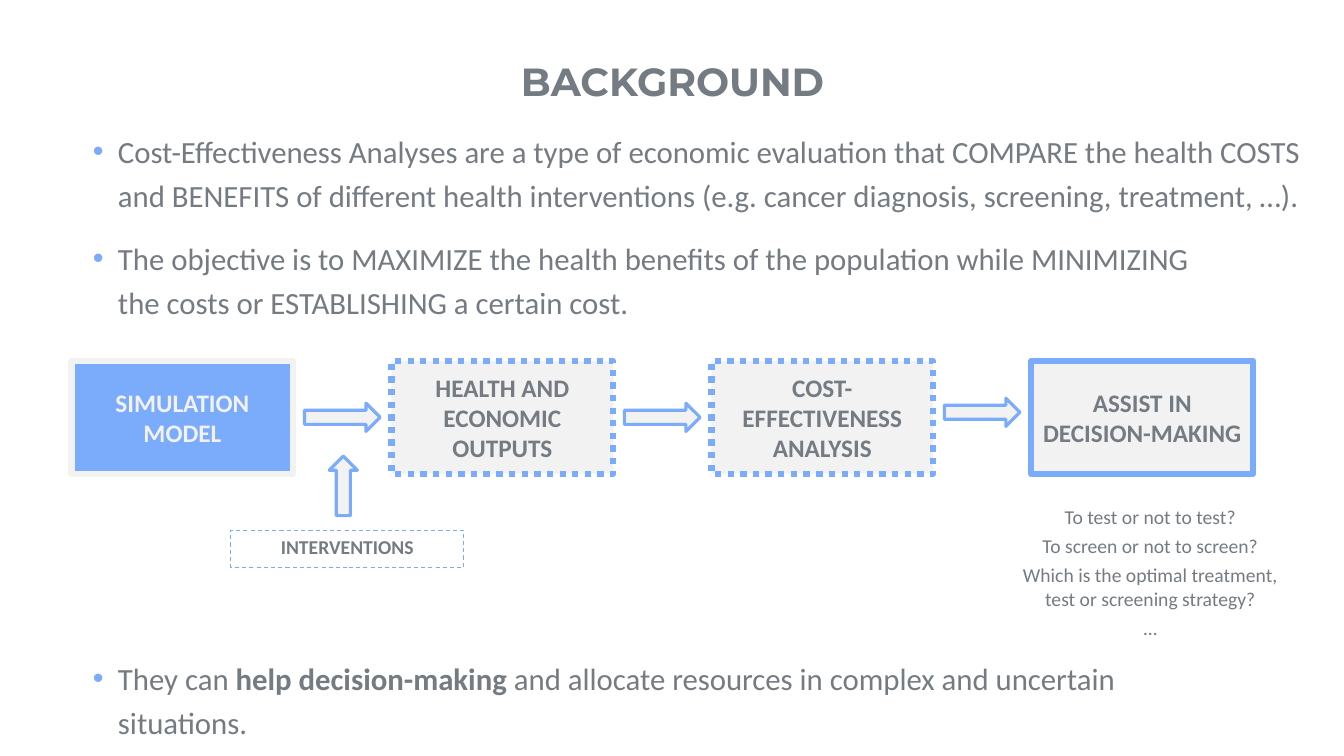
from pptx import Presentation
from pptx.dml.color import RGBColor as RGB
from pptx.enum.dml import MSO_LINE as Dash
from pptx.enum.shapes import MSO_SHAPE as Kind
from pptx.enum.text import MSO_ANCHOR as Anchor, MSO_AUTO_SIZE as Fit, PP_ALIGN as Align
from pptx.util import Inches, Pt
from lxml.etree import SubElement as Sub
from pptx.oxml.ns import qn

HUE = {"blue": "7BACFC", "pale": "F2F2F2", "gray": "747B82"}
COLS, ROWS = 133.3, 75
CELL = Inches(0.1)
LEFT, TOP, STEP = 7.1, 35.8, 31.73
BOX_W, BOX_H = 22, 11.2
ARROW_H = 2.8


def grid(*cells):
    return [round(n * CELL) for n in cells]


def tint(name):
    return RGB.from_string(HUE[name])


def put(item, *cells):
    item.left, item.top, item.width, item.height = grid(*cells)


def write(frame, paras, size, hue="gray", bold=False, align=Align.CENTER,
          anchor=Anchor.MIDDLE, font="Calibri", before=0):
    frame.word_wrap = True
    frame.auto_size = Fit.NONE
    frame.vertical_anchor = anchor
    for i, runs in enumerate(paras):
        para = frame.add_paragraph() if i else frame.paragraphs[0]
        para.alignment = align
        para.space_before = Pt(before)
        for text, heavy in runs:
            run = para.add_run()
            run.text = text
            run.font.name = font
            run.font.size = Pt(size)
            run.font.bold = heavy
            run.font.color.rgb = tint(hue)


def plain(*lines, bold=False):
    return [[(line, bold)] for line in lines]


def shape(slide, kind, cells, fill, edge, width, dash=None):
    item = slide.shapes.add_shape(kind, *grid(*cells))
    item.shadow.inherit = False
    if fill:
        item.fill.solid()
        item.fill.fore_color.rgb = tint(fill)
    else:
        item.fill.background()
    item.line.color.rgb = tint(edge)
    item.line.width = Pt(width)
    if dash:
        item.line.dash_style = dash
    return item


def arrow(slide, x, y, width, turn=0):
    item = shape(slide, Kind.RIGHT_ARROW, (x, y, width, ARROW_H), "pale", "blue", 2.25)
    item.rotation = turn


def stage(slide, col, lines, fill="pale", edge="blue", hue="gray", dash=None):
    cells = LEFT + col * STEP, TOP, BOX_W, BOX_H
    item = shape(slide, Kind.RECTANGLE, cells, fill, edge, 4.5, dash)
    write(item.text_frame, plain(*lines, bold=True), 18, hue)


def bullet(body, cells, runs):
    put(body, *cells)
    frame = body.text_frame
    write(frame, [runs], 22, align=Align.LEFT, anchor=Anchor.TOP)
    para = frame.paragraphs[0]
    para.line_spacing = 1.2
    props = para._p.get_or_add_pPr()
    props.set("marL", str(Inches(0.25)))
    props.set("indent", str(-Inches(0.25)))
    Sub(Sub(props, qn("a:buClr")), qn("a:srgbClr")).set("val", HUE["blue"])
    Sub(props, qn("a:buFont")).set("typeface", "Arial")
    Sub(props, qn("a:buChar")).set("char", "•")


def main():
    deck = Presentation()
    deck.slide_width, deck.slide_height = grid(COLS, ROWS)
    slide = deck.slides.add_slide(deck.slide_layouts[4])
    title, *bodies = list(slide.placeholders)
    spare = bodies.pop()
    spare.element.getparent().remove(spare.element)

    put(title, 9.2, 3, 115, 10.1)
    frame = title.text_frame
    frame.margin_left = frame.margin_right = frame.margin_top = frame.margin_bottom = 0
    write(frame, plain("BACKGROUND", bold=True), 28, font="Montserrat")

    points = [
        ((8.2, 11.9, 122.9, 9.3), [(
            "Cost-Effectiveness Analyses are a type of economic evaluation that COMPARE "
            "the health COSTS and BENEFITS of different health interventions "
            "(e.g. cancer diagnosis, screening, treatment, …).", False)]),
        ((8.2, 22.5, 115.1, 9.9), [(
            "The objective is to MAXIMIZE the health benefits of the population while "
            "MINIMIZING the costs or ESTABLISHING a certain cost.", False)]),
        ((8.2, 64.2, 116, 6.7), [
            ("They can ", False), ("help decision-making ", True),
            ("and allocate resources in complex and uncertain situations.", False)]),
    ]
    for body, (cells, runs) in zip(bodies, points):
        bullet(body, cells, runs)

    stage(slide, 0, ["SIMULATION", "MODEL"], "blue", "pale", "pale")
    stage(slide, 1, ["HEALTH AND ECONOMIC OUTPUTS"], dash=Dash.ROUND_DOT)
    stage(slide, 2, ["COST-EFFECTIVENESS ANALYSIS"], dash=Dash.ROUND_DOT)
    stage(slide, 3, ["ASSIST IN DECISION-MAKING"])
    for col, y in enumerate((40, 40, 39.5)):
        arrow(slide, LEFT + BOX_W + 1.1 + col * STEP, y, 7.5)

    arrow(slide, 31.1, 46.8, 5.9, 270)
    label = shape(slide, Kind.RECTANGLE, (22.9, 52.6, 23.1, 3.7), None, "blue", 0.75, Dash.DASH)
    write(label.text_frame, plain("INTERVENTIONS", bold=True), 14, anchor=Anchor.TOP, before=12)

    asks = slide.shapes.add_textbox(*grid(99.6, 49.6, 29, 15))
    write(asks.text_frame, plain(
        "To test or not to test?", "To screen or not to screen?",
        "Which is the optimal treatment, test or screening strategy?", "…"),
        14, anchor=Anchor.TOP, before=4)

    deck.save("out.pptx")


if __name__ == "__main__":
    main()
